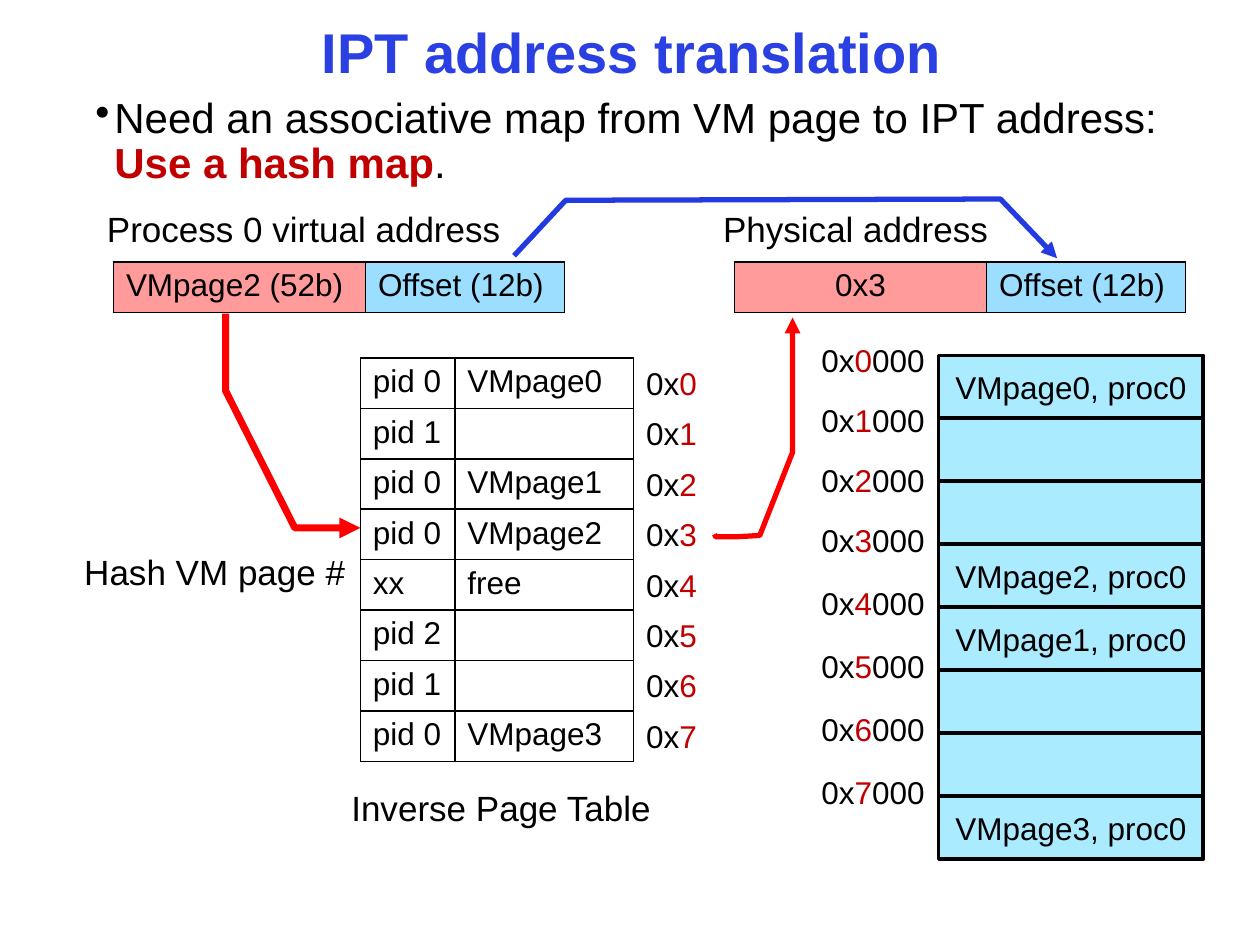
from dataclasses import dataclass

from lxml import etree
from pptx import Presentation
from pptx import oxml
from pptx.dml.color import RGBColor
from pptx.enum import shapes, text
from pptx.util import Inches, Pt


@dataclass(frozen=True)
class Theme:
    font: str = "Arial"
    black: str = "000000"
    title: str = "2A40E2"
    accent: str = "C00000"
    page: str = "FF9B9B"
    offset: str = "9BDEFF"
    frame: str = "ABEBFF"
    red: str = "FF0000"
    blue: str = "233AE1"
    title_size: int = 32
    body_size: int = 24
    caption_size: int = 20
    label_size: int = 18


T = Theme()
LEFT, CENTER = text.PP_ALIGN.LEFT, text.PP_ALIGN.CENTER
ROW_H = 0.4
FRAME_H = 0.5


def rgb(color):
    return RGBColor.from_string(color)


def inches(*values):
    return [Inches(v) for v in values]


def add_run(p, content, size, color=T.black, bold=False):
    r = p.add_run()
    r.text = content
    for name, value in dict(name=T.font, size=Pt(size), bold=bold).items():
        setattr(r.font, name, value)
    r.font.color.rgb = rgb(color)


def add_label(parent, box, runs, size, wrap=False, align=LEFT):
    """Text box whose runs are (text, color) pairs."""
    tf = parent.add_textbox(*inches(*box)).text_frame
    tf.word_wrap = wrap
    p = tf.paragraphs[0]
    p.alignment = align
    for content, color in runs:
        add_run(p, content, size, color)
    return tf


def add_caption(s, box, content):
    add_label(s.shapes, box, [(content, T.black)], T.caption_size)


def add_title(s, box, content):
    tf = s.shapes.add_textbox(*inches(*box)).text_frame
    margins = dict(margin_left=0.07, margin_right=0.07, margin_top=0.03, margin_bottom=0.03)
    for name, value in margins.items():
        setattr(tf, name, Inches(value))
    tf.word_wrap = False
    p = tf.paragraphs[0]
    p.alignment, p.line_spacing = CENTER, 0.9
    add_run(p, content, T.title_size, T.title, True)


def add_bullet(s, box):
    tf = s.shapes.add_textbox(*inches(*box)).text_frame
    tf.word_wrap = True
    tf.margin_top = tf.margin_bottom = Inches(0.1)
    p = tf.paragraphs[0]
    p.line_spacing, p.space_before = 0.9, Pt(7.2)
    pPr = p._p.get_or_add_pPr()
    pPr.set("marL", str(Inches(0.31)))
    pPr.set("indent", str(Inches(-0.15)))
    etree.SubElement(pPr, oxml.ns.qn("a:buChar")).set("char", "•")
    add_run(p, "Need an associative map from VM page to IPT address:", T.body_size)
    p.add_line_break()
    add_run(p, "Use a hash map", T.body_size, T.accent, True)
    add_run(p, ".", T.body_size)


def add_borders(cell):
    tcPr = cell._tc.get_or_add_tcPr()
    for side in ("lnL", "lnR", "lnT", "lnB"):
        tcPr.append(oxml.parse_xml(
            f'<a:{side} {oxml.ns.nsdecls("a")} w="{Pt(1)}"><a:solidFill>'
            f'<a:srgbClr val="{T.black}"/></a:solidFill></a:{side}>'))


def add_grid(s, left, top, widths, rows, fills=None, aligns=(LEFT, LEFT)):
    """Bordered table with one optional fill and one alignment per column."""
    box = inches(left, top, sum(widths), ROW_H * len(rows))
    table = s.shapes.add_table(len(rows), len(widths), *box).table
    table.first_row = table.horz_banding = False
    for column, width in zip(table.columns, widths):
        column.width = Inches(width)
    for i, row in enumerate(rows):
        table.rows[i].height = Inches(ROW_H)
        for j, content in enumerate(row):
            cell = table.cell(i, j)
            add_borders(cell)
            if fills:
                cell.fill.solid()
                cell.fill.fore_color.rgb = rgb(fills[j])
            else:
                cell.fill.background()
            p = cell.text_frame.paragraphs[0]
            p.alignment = aligns[j]
            if content:
                add_run(p, content, T.label_size)


def add_address(s, left, top, page, aligns=(LEFT, LEFT)):
    add_grid(s, left, top, (2, 1.58), [(page, "Offset (12b)")], (T.page, T.offset), aligns)


def add_page_table(s, left, top):
    rows = [("pid 0", "VMpage0"), ("pid 1", ""), ("pid 0", "VMpage1"), ("pid 0", "VMpage2"),
            ("xx", "free"), ("pid 2", ""), ("pid 1", ""), ("pid 0", "VMpage3")]
    widths = (0.75, 1.42)
    add_grid(s, left, top, widths, rows)
    for i in range(len(rows)):
        add_label(s.shapes, (left + sum(widths), top + i * ROW_H, 0.61, ROW_H),
                  [("0x", T.black), (str(i), T.accent)], T.label_size)
    add_caption(s, (left - 0.17, top + 3.35, 2.6, 0.44), "Inverse Page Table")


def add_memory(s, left, top, width):
    """Stack of page frames with their start addresses on the left."""
    frames = ["VMpage0, proc0", "", "", "VMpage2, proc0", "VMpage1, proc0", "", "", "VMpage3, proc0"]
    group = s.shapes.add_group_shape().shapes
    for i, content in enumerate(frames):
        y = top + i * FRAME_H
        sp = group.add_shape(shapes.MSO_SHAPE.RECTANGLE, *inches(left, y, width, FRAME_H))
        sp.shadow.inherit = False
        sp.fill.solid()
        sp.fill.fore_color.rgb = rgb(T.frame)
        sp.line.color.rgb = rgb(T.black)
        sp.line.width = Pt(2)
        tf = sp.text_frame
        tf.vertical_anchor = text.MSO_ANCHOR.MIDDLE
        p = tf.paragraphs[0]
        p.alignment = CENTER
        if content:
            add_run(p, content, T.label_size)
        # The first address labels sit slightly closer together than the frames.
        label_top = y - 0.16 - 0.025 * min(i, 3)
        add_label(group, (left - 1.03, label_top, 1.18, ROW_H),
                  [("0x", T.black), (str(i), T.accent), ("000", T.black)], T.label_size)


def add_arrow(s, points, color, width):
    """Open bent line with a triangle at its last point."""
    start, *rest = [tuple(inches(*point)) for point in points]
    builder = s.shapes.build_freeform(*start)
    builder.add_line_segments(rest, close=False)
    sp = builder.convert_to_shape()
    sp.shadow.inherit = False
    sp.fill.background()
    sp.line.color.rgb = rgb(color)
    sp.line.width = Pt(width)
    ln = sp.line._get_or_add_ln()
    etree.SubElement(ln, oxml.ns.qn("a:round"))
    etree.SubElement(ln, oxml.ns.qn("a:tailEnd")).set("type", "triangle")


def main():
    prs = Presentation()
    prs.slide_width, prs.slide_height = inches(10, 7.5)
    s = prs.slides.add_slide(prs.slide_layouts[6])
    add_bullet(s, (0.5, 0.67, 9, 5.92))
    add_title(s, (2.47, 0.17, 5.09, 0.54), "IPT address translation")
    add_page_table(s, 2.86, 2.84)
    add_caption(s, (0.75, 1.6, 3.51, 0.44), "Process 0 virtual address")
    add_address(s, 0.9, 2.08, "VMpage2 (52b)")
    add_caption(s, (5.64, 1.6, 3.51, 0.44), "Physical address")
    add_address(s, 5.83, 2.08, "0x3", (CENTER, LEFT))
    add_caption(s, (0.57, 4.32, 2.29, 0.44), "Hash VM page #")
    add_memory(s, 7.45, 2.82, 2.1)
    add_arrow(s, [(1.79, 2.49), (1.79, 3.1), (2.34, 4.19), (2.86, 4.19)], T.red, 4)
    add_arrow(s, [(5.67, 4.24), (5.68, 4.26), (5.85, 4.26), (6.03, 4.25),
                  (6.29, 3.59), (6.29, 2.52)], T.red, 3)
    add_arrow(s, [(4.08, 2.03), (4.49, 1.59), (7.94, 1.58), (8.39, 2.05)], T.blue, 3)
    prs.save("out.pptx")


if __name__ == "__main__":
    main()
